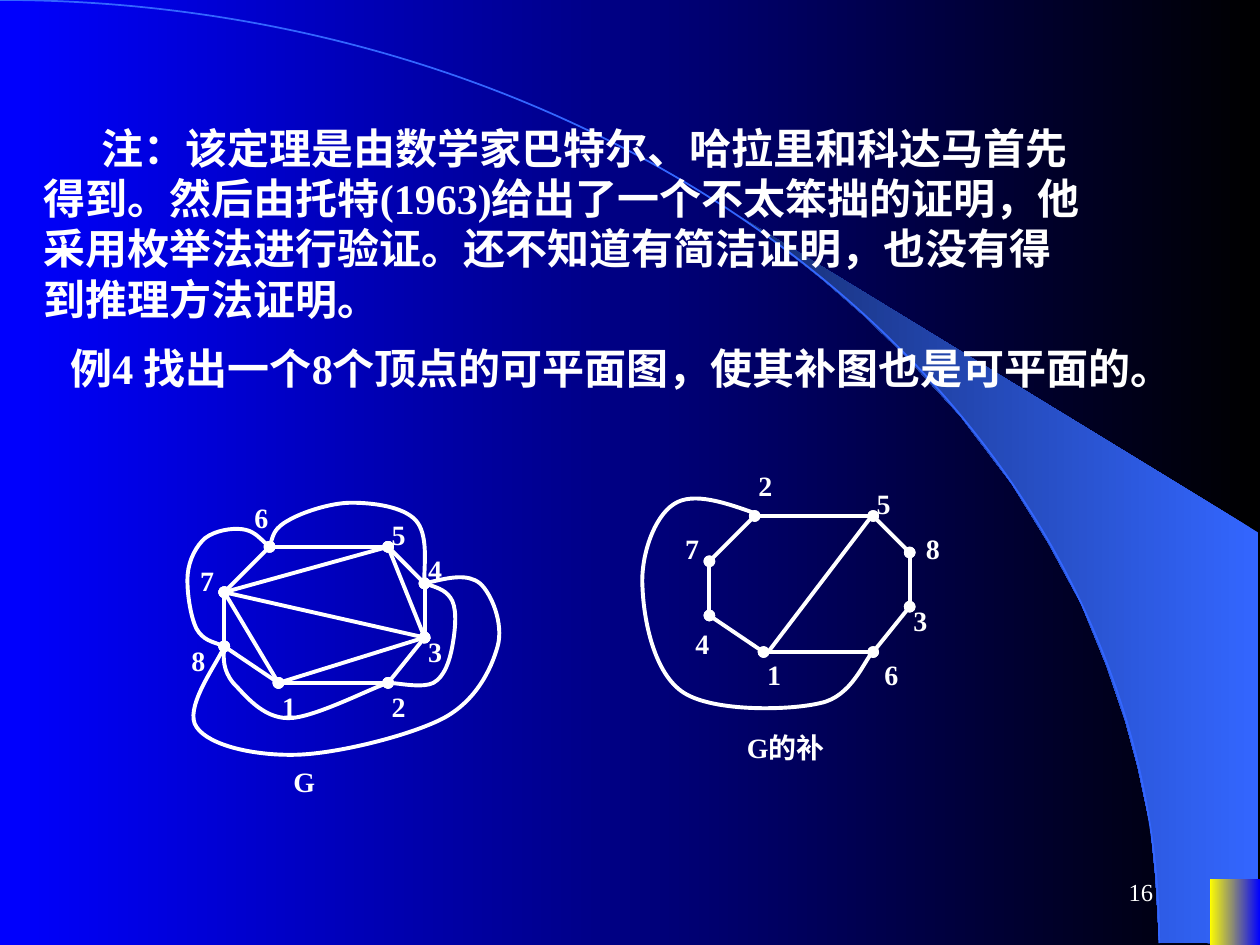
"""Builds the slide on a planar graph with eight vertices and its planar complement."""
from lxml import etree
from pptx import Presentation, util as u
from pptx.dml import color
from pptx.enum import shapes, text
from pptx.oxml import ns

deck = Presentation()
deck.slide_width, deck.slide_height = u.Inches(10), u.Inches(7.5)
slide = deck.slides.add_slide(deck.slide_layouts[6])
canvas = slide.shapes
CELL = deck.slide_width // 100
WHITE, BLUE = "FFFFFF", "3366FF"
hue = color.RGBColor.from_string
strokes = []


def trace(points, curved=True):
    (x, y), *rest = [(p * CELL, q * CELL) for p, q in points]
    outline = canvas.build_freeform(x, y).add_line_segments(rest, close=False).convert_to_shape()
    outline.shadow.inherit = False
    outline.fill.background()
    if curved:
        route = outline._element.find(".//" + ns.qn("a:path"))
        legs = route.findall(ns.qn("a:lnTo"))
        for k in range(0, len(legs), 3):
            bend = etree.SubElement(route, ns.qn("a:cubicBezTo"))
            for leg in legs[k:k + 3]:
                bend.append(leg[0])
                route.remove(leg)
    return outline


def write(words, left, top, width, height, size, bold=True, indent=0):
    frame = canvas.add_textbox(*(round(v * CELL) for v in (left, top, width, height))).text_frame
    frame.word_wrap = True
    line = frame.paragraphs[0]
    line.text = words
    if indent:
        for key, value in {"indent": str(round(indent * CELL)), "hangingPunct": "0"}.items():
            line._p.get_or_add_pPr().set(key, value)
    for key, value in {"size": u.Pt(size), "bold": bold, "name": "Times New Roman"}.items():
        setattr(line.runs[0].font, key, value)
    line.runs[0].font.color.rgb = hue(WHITE)
    return frame


sweep = trace([(92, 74.8), (99.9, 74.9), (99.9, 42.3), (58.9, 17.3), (62.4, 19.9), (65.3, 22.2),
               (68.5, 25), (71.6, 28), (76.2, 33), (80.3, 38.4), (83.2, 43.1), (85.8, 47.9),
               (87.8, 52.8), (89.3, 57.2), (90.3, 60.9), (91.3, 65.6), (91.7, 69.6), (92, 74.8)], curved=False)
arc, corner = [canvas.add_shape(kind, *(round(v * CELL) for v in box)) for kind, box in (
    (shapes.MSO_SHAPE.ARC, (-92, 0, 184, 149.7)),
    (shapes.MSO_SHAPE.RECTANGLE, (96, 69.8, 4, 5.2)))]
arc.fill.background()
arc.line.color.rgb, arc.line.width = hue(BLUE), u.Pt(1)
arc.shadow.inherit = corner.shadow.inherit = False
for panel in (sweep, corner):
    panel.line.fill.background()

for fill, ends in ((slide.background.fill, ("000000", "0000FF")),
                   (sweep.fill, (BLUE, "172F75")),
                   (corner.fill, ("0000FF", "FFFF00"))):
    fill.gradient()
    fill.gradient_angle = 180
    for stop, place, shade in zip(fill.gradient_stops, (0, 1), ends):
        stop.position, stop.color.rgb = place, hue(shade)

write("注：该定理是由数学家巴特尔、哈拉里和科达马首先得到。然后由托特(1963)给出了一个不太笨拙的证明，"
      "他采用枚举法进行验证。还不知道有简洁证明，也没有得到推理方法证明。", 2.5, 9.2, 85, 17, 24, indent=4.6)
write("例4 找出一个8个顶点的可平面图，使其补图也是可平面的。", 0, 26.7, 95.8, 5, 24, indent=4.6)

octagon = [(21.4, 43.4), (30.8, 43.4), (33.7, 46.3), (33.7, 50.6),
           (30.8, 54.2), (22.1, 54.2), (17.8, 51.3), (17.8, 47)]
graphs = [
    {"shift": (0, 0), "ring": "65432187", "edges": "65 67 78 54 43 81 32 12 75 71 13 53 73",
     "labels": {"7": (14.9, 44.2), "6": (19.2, 39.2), "5": (30.1, 40.6), "4": (33, 43.4),
                "3": (33, 49.9), "2": (30.1, 54.2), "1": (21.4, 54.2), "8": (14.2, 50.6)},
     "title": ("G", 22.3, 60.2, 6)},
    {"shift": (38.5, -2.45), "ring": "25836147", "edges": "25 27 74 58 83 41 36 16",
     "labels": {"7": (53.4, 41.7), "6": (69.2, 51.7), "5": (68.6, 38.1), "4": (54.2, 49.2),
                "3": (71.5, 47.4), "2": (59.2, 36.7), "1": (59.9, 51.7), "8": (72.5, 41.7)},
     "title": ("G的补", 58.3, 57.5, 10.8)},
]
segments = [((69.3, 40.8), (61, 51.7), False)]
for graph in graphs:
    dx, dy = graph["shift"]
    vertex = {name: (x + dx, y + dy) for name, (x, y) in zip(graph["ring"], octagon)}
    segments += [(vertex[a], vertex[b], True) for a, b in graph["edges"].split()]
    for name, (left, top) in graph["labels"].items():
        write(name, left, top, 3, 3.7, 16)
    title, left, top, width = graph["title"]
    write(title, left, top, width, 3.7, 16)
for start, end, dotted in segments:
    edge = canvas.add_connector(shapes.MSO_CONNECTOR.STRAIGHT, *(round(v * CELL) for v in start + end))
    etree.SubElement(edge._element.spPr, ns.qn("a:effectLst"))
    strokes.append((edge, dotted))

bends = [
    (True, [(33.7, 46.3), (35.4, 45.9), (37.1, 45.5), (38.1, 46.3), (39, 47.1), (40, 49.5), (39.5, 51.3),
            (39, 53.1), (37.8, 55.6), (35.2, 57), (32.5, 58.4), (26.8, 59.8), (23.6, 59.9),
            (20.3, 60), (16.6, 59.2), (15.6, 57.7), (14.6, 56.3), (17.4, 52.4), (17.8, 51.3)]),
    (True, [(21.4, 43.4), (21.6, 42.7), (21.8, 41.9), (22.9, 41.3), (23.9, 40.7), (26.2, 39.9), (27.9, 39.9),
            (29.6, 39.9), (32, 40.2), (33, 41.3), (34, 42.4), (33.6, 45.5), (33.7, 46.3)]),
    (True, [(21.4, 43.4), (20.7, 42.8), (20.1, 42.1), (19.2, 42), (18.4, 41.9), (17.1, 42.1), (16.3, 42.7),
            (15.6, 43.3), (15, 44.4), (14.9, 45.6), (14.8, 46.8), (15.1, 48.9), (15.6, 49.9),
            (16.1, 50.8), (17.4, 51.1), (17.8, 51.3)]),
    (True, [(33.7, 46.3), (34.6, 46.6), (35.5, 46.9), (35.9, 47.7), (36.3, 48.6), (36.1, 50.2), (35.9, 51.3),
            (35.7, 52.4), (35.3, 53.7), (34.4, 54.2), (33.6, 54.6), (31.4, 54.2), (30.8, 54.2)]),
    (False, [(17.8, 51.3), (17.7, 52.3), (17.7, 53.2), (18.5, 54.2), (19.4, 55.1), (20.8, 57), (22.9, 57),
             (24.9, 57), (29.5, 54.6), (30.8, 54.2)]),
    (False, [(60.1, 40.8), (57.6, 39.9), (55, 39), (53.5, 40), (51.9, 41), (50.8, 44.2), (51, 46.7),
             (51.1, 49.2), (51.9, 53.5), (54.3, 55), (56.7, 56.5), (62.6, 56.4), (65.1, 55.8),
             (67.6, 55.3), (68.6, 52.4), (69.3, 51.7)]),
]
strokes += [(trace(points), dotted) for dotted, points in bends]

for stroke, dotted in strokes:
    stroke.line.color.rgb, stroke.line.width = hue(WHITE), u.Pt(2.25)
    for tip in ("a:headEnd", "a:tailEnd") if dotted else ():
        etree.SubElement(stroke.line._get_or_add_ln(), ns.qn(tip), type="oval")

number = write("16", 71.7, 68.3, 20.8, 5, 14, bold=False)
number.vertical_anchor = text.MSO_ANCHOR.MIDDLE
number.paragraphs[0].alignment = text.PP_ALIGN.RIGHT

deck.save("out.pptx")
